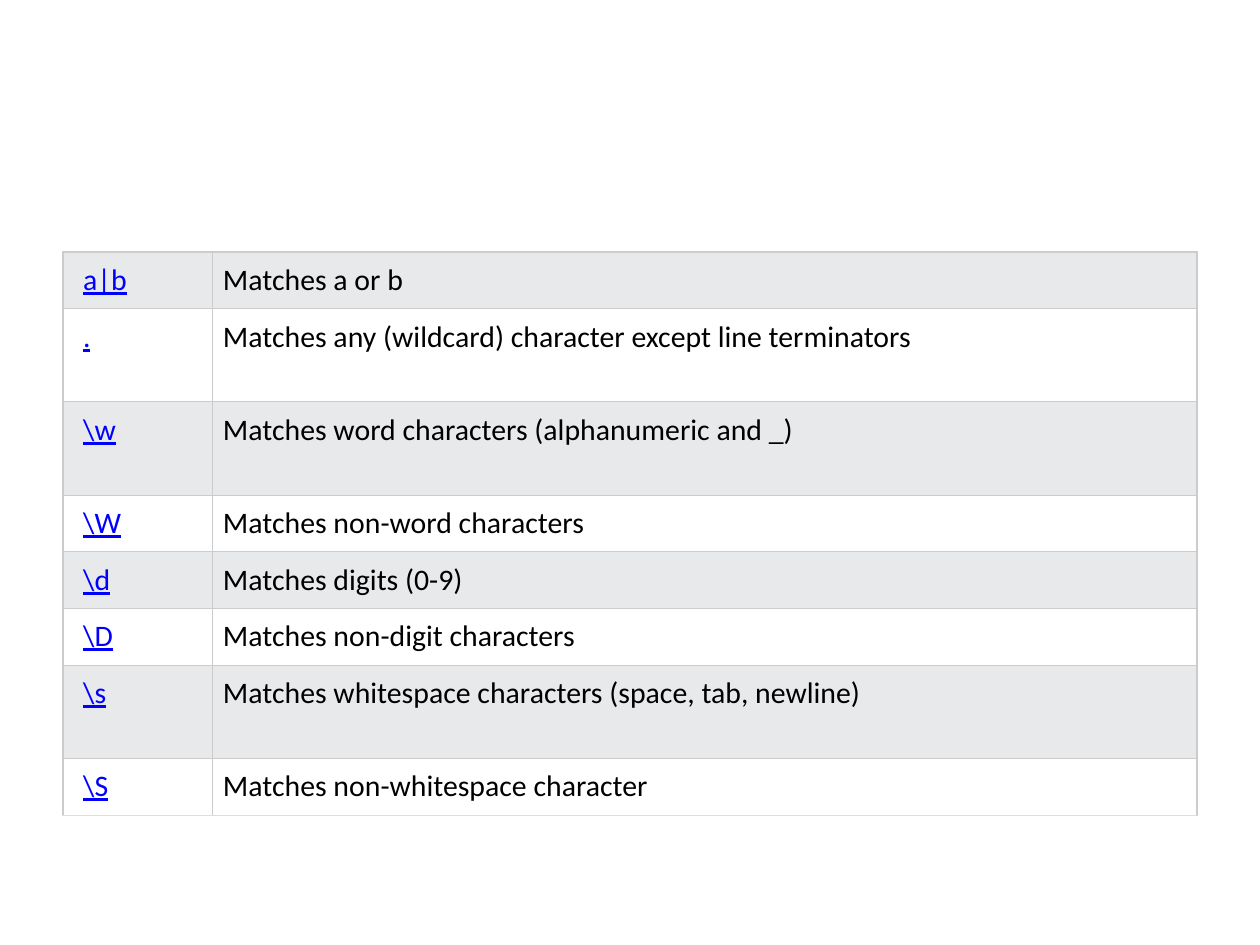
from lxml import etree
from pptx import Presentation
from pptx.dml.color import RGBColor
from pptx.oxml.ns import qn
from pptx.util import Inches, Pt

BLACK = RGBColor(0x00, 0x00, 0x00)
WHITE = RGBColor(0xFF, 0xFF, 0xFF)
BAND_GRAY = RGBColor(0xE7, 0xE9, 0xEB)
LINK_BLUE = RGBColor(0x00, 0x00, 0xFF)
BORDER_GRAY = RGBColor(0xCC, 0xCC, 0xCC)
LAST_BORDER_GRAY = RGBColor(0xDD, 0xDD, 0xDD)

BLANK_LAYOUT = 6
PATTERN_SHARE = 1.19 / 9
SHORT_ROW, TALL_ROW = Inches(0.45), Inches(0.74)
PADDING = Inches(0.08)

PATTERN_FORMAT = {"color": LINK_BLUE, "underline": True, "left": 2 * PADDING}
MEANING_FORMAT = {"color": BLACK, "underline": False, "left": PADDING}

METACHARACTERS = [
    ("a|b", "Matches a or b", SHORT_ROW),
    (".", "Matches any (wildcard) character except line terminators", TALL_ROW),
    (r"\w", "Matches word characters (alphanumeric and _)", TALL_ROW),
    (r"\W", "Matches non-word characters", SHORT_ROW),
    (r"\d", "Matches digits (0-9)", SHORT_ROW),
    (r"\D", "Matches non-digit characters", SHORT_ROW),
    (r"\s", "Matches whitespace characters (space, tab, newline)", TALL_ROW),
    (r"\S", "Matches non-whitespace character", SHORT_ROW),
]


def set_borders(cell, bottom_color):
    """Draw all four cell edges; call before filling, as the schema puts lines first."""
    properties = cell._tc.get_or_add_tcPr()
    for side in "LRTB":
        edge = etree.SubElement(properties, qn(f"a:ln{side}"), w=str(Pt(0.75)))
        solid = etree.SubElement(edge, qn("a:solidFill"))
        color = bottom_color if side == "B" else BORDER_GRAY
        etree.SubElement(solid, qn("a:srgbClr"), val=str(color))


def fill_cell(cell, text, style, background, bottom_color):
    set_borders(cell, bottom_color)
    cell.fill.solid()
    cell.fill.fore_color.rgb = background
    margins = {"margin_left": style["left"], "margin_top": PADDING,
               "margin_right": PADDING, "margin_bottom": PADDING}
    for attribute, value in margins.items():
        setattr(cell, attribute, value)

    run = cell.text_frame.paragraphs[0].add_run()
    run.text = text
    run.font.color.rgb = style["color"]
    font_format = {"name": "Calibri", "size": Pt(17), "bold": False,
                   "underline": style["underline"]}
    for attribute, value in font_format.items():
        setattr(run.font, attribute, value)


def add_metacharacter_table(slide, left, top, width):
    height = sum(row_height for *_, row_height in METACHARACTERS)
    table = slide.shapes.add_table(
        len(METACHARACTERS), 2, left, top, width, height).table
    table.first_row = False
    table.horz_banding = False
    pattern_width = int(width * PATTERN_SHARE)
    table.columns[0].width = pattern_width
    table.columns[1].width = width - pattern_width

    last = len(METACHARACTERS) - 1
    for index, (pattern, meaning, row_height) in enumerate(METACHARACTERS):
        table.rows[index].height = row_height
        background = WHITE if index % 2 else BAND_GRAY
        bottom_color = LAST_BORDER_GRAY if index == last else BORDER_GRAY
        fill_cell(table.cell(index, 0), pattern, PATTERN_FORMAT, background, bottom_color)
        fill_cell(table.cell(index, 1), meaning, MEANING_FORMAT, background, bottom_color)


def main():
    presentation = Presentation()
    presentation.slide_width = Inches(10)
    presentation.slide_height = Inches(7.5)
    slide = presentation.slides.add_slide(presentation.slide_layouts[BLANK_LAYOUT])
    add_metacharacter_table(slide, Inches(0.5), Inches(2), Inches(9))
    presentation.save("out.pptx")


if __name__ == "__main__":
    main()
